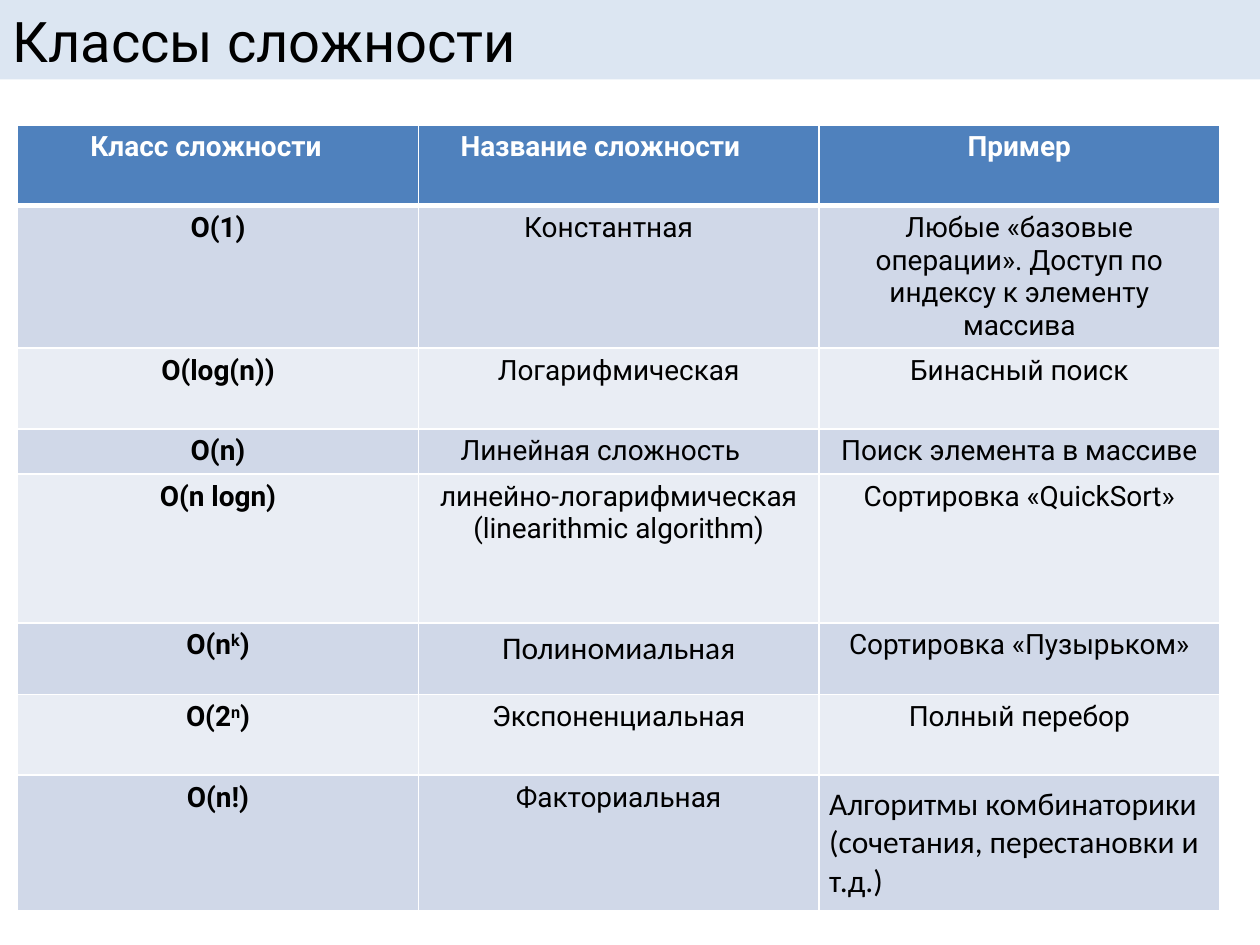
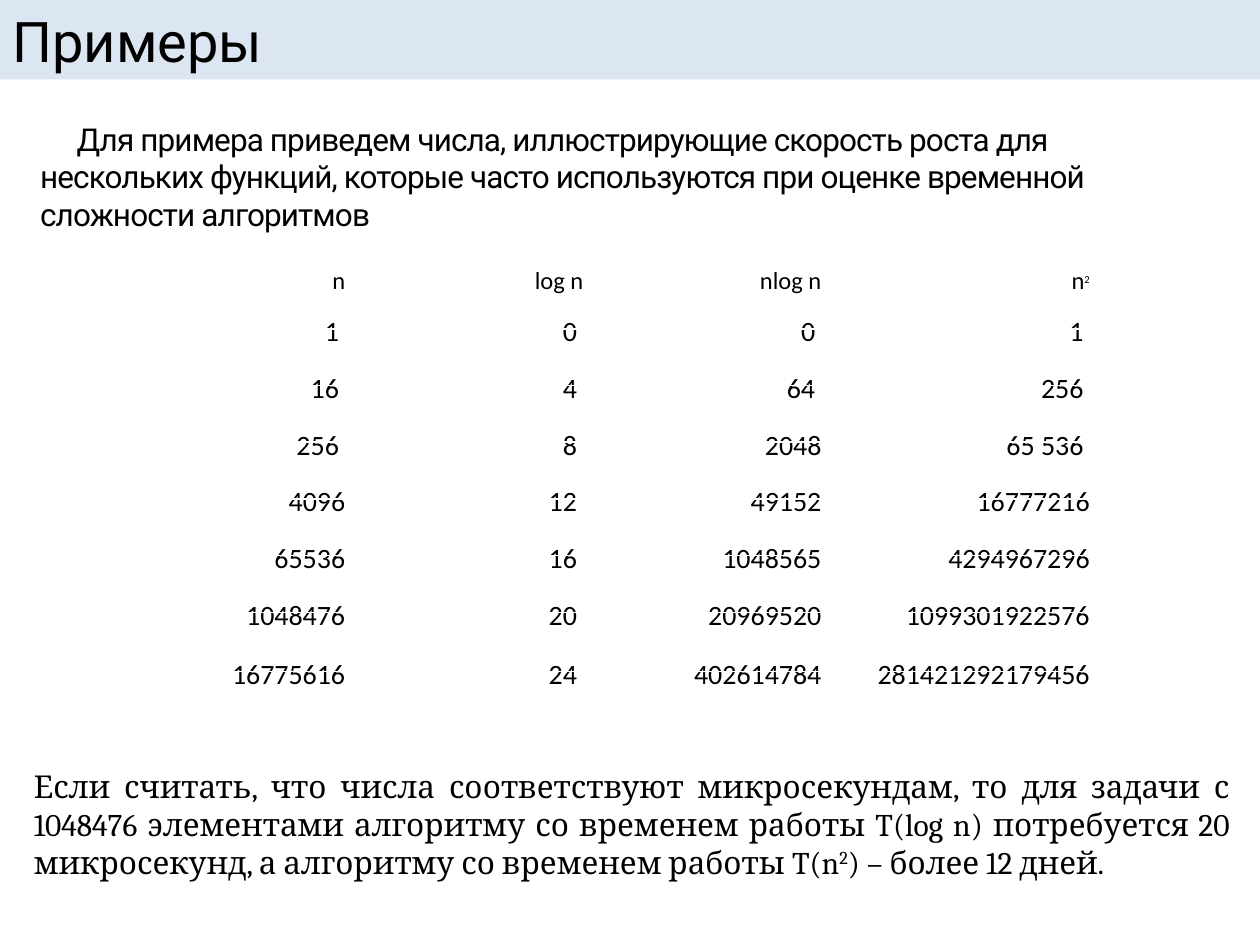
"""Build two slides on algorithm complexity classes and growth rates."""
import pptx
import pptx.dml.color
import pptx.enum.text
import pptx.oxml
import pptx.oxml.ns
import pptx.util
from pptx.util import Inches, Pt

BLACK, WHITE, BAND, HEADER = "000000", "FFFFFF", "DCE6F2", "4F81BD"
STRIPES = ("D0D8E8", "E9EDF4")
ALIGN = pptx.enum.text.PP_ALIGN

CLASSES = [
    ("Класс сложности", "Название сложности", "Пример"),
    ("O(1)", "Константная", "Любые «базовые операции». Доступ по индексу к элементу массива"),
    ("O(log(n))", "Логарифмическая", "Бинасный поиск"),
    ("O(n)", "Линейная сложность", "Поиск элемента в массиве"),
    ("O(n logn)", "линейно-логарифмическая (linearithmic algorithm)", "Сортировка «QuickSort»"),
    ("O(n^k^)", "Полиномиальная", "Сортировка «Пузырьком»"),
    ("O(2^n^)", "Экспоненциальная", "Полный перебор"),
    ("O(n!)", "Факториальная",
     "Алгоритмы комбинаторики (сочетания, перестановки и т.д.)"),
]
CLASS_COLS = [3.18] * 3
CLASS_ROWS = [0.64, 0.91, 0.64, 0.36, 1.18, 0.57, 0.64, 1.02]
CALIBRI_CELLS = {(5, 1), (7, 2)}
RIGHT_MARGINS = {(0, 0): 0.29, (0, 1): 0.39, (1, 1): 0.26, (3, 1): 0.39}

GROWTH = [
    ("n", "log n", "nlog n", "n^2^"),
    ("1", "0", "0", "1"),
    ("16", "4", "64", "256"),
    ("256", "8", "2048", "65 536"),
    ("4096", "12", "49152", "16777216"),
    ("65536", "16", "1048565", "4294967296"),
    ("1048476", "20", "20969520", "1099301922576"),
    ("16775616", "24", "402614784", "281421292179456"),
]
GROWTH_COLS = [1.88, 1.89, 1.89, 2.13]
GROWTH_ROWS = [0.5] + [0.45] * 5 + [0.47, 0.44]

INTRO = [
    "Для примера приведем числа, иллюстрирующие скорость роста для",
    "нескольких функций, которые часто используются при оценке временной сложности алгоритмов",
]
CONCLUSION = (
    "Если считать, что числа соответствуют микросекундам, то для задачи с 1048476 элементами "
    "алгоритму со временем работы T(log n) потребуется 20 микросекунд, а алгоритму со временем "
    "работы T(n^2^) – более 12 дней."
)


def rgb(color):
    return pptx.dml.color.RGBColor.from_string(color)


def write(p, text, size, font, color=BLACK, bold=False, align=ALIGN.LEFT, sup_size=None):
    """Fill a paragraph; text between carets is superscript."""
    p.alignment = align
    for i, part in enumerate(text.split("^")):
        r = p.add_run()
        r.text = part
        r.font.size = Pt(size)
        r.font.name = font
        r.font.bold = bold
        r.font.color.rgb = rgb(color)
        if i % 2:
            r.font.size = Pt(sup_size or size)
            r._r.get_or_add_rPr().set("baseline", "30000")


def set_margins(target, left, top, right, bottom):
    target.margin_left, target.margin_top = Inches(left), Inches(top)
    target.margin_right, target.margin_bottom = Inches(right), Inches(bottom)


def add_slide(prs, title):
    slide = prs.slides.add_slide(prs.slide_layouts[6])
    sp = slide.shapes.add_shape(pptx.enum.shapes.MSO_SHAPE.RECTANGLE, 0, 0, prs.slide_width, Inches(0.63))
    sp.shadow.inherit = False
    sp.fill.solid()
    sp.fill.fore_color.rgb = rgb(BAND)
    sp.line.fill.background()
    sp.text_frame.vertical_anchor = pptx.enum.text.MSO_ANCHOR.MIDDLE
    write(sp.text_frame.paragraphs[0], title, 32, "Roboto")
    return slide


def add_grid(slide, left, top, cols, rows):
    table = slide.shapes.add_table(len(rows), len(cols), Inches(left), Inches(top),
                                   Inches(sum(cols)), Inches(sum(rows))).table
    table.first_row = table.horz_banding = False
    for column, width in zip(table.columns, cols):
        column.width = Inches(width)
    for row, height in zip(table.rows, rows):
        row.height = Inches(height)
    return table


def add_borders(cell, widths):
    tcPr = cell._tc.get_or_add_tcPr()
    for i, (side, width) in enumerate(zip("LRTB", widths)):
        tcPr.insert(i, pptx.oxml.parse_xml(
            f'<a:ln{side} {pptx.oxml.ns.nsdecls("a")} w="{Pt(width)}"><a:solidFill>'
            f'<a:srgbClr val="{WHITE}"/></a:solidFill></a:ln{side}>'))


def add_text_box(slide, left, top, width, height):
    tf = slide.shapes.add_textbox(Inches(left), Inches(top), Inches(width), Inches(height)).text_frame
    tf.word_wrap = True
    return tf


def build_classes(prs):
    slide = add_slide(prs, "Классы сложности")
    table = add_grid(slide, 0.14, 0.99, CLASS_COLS, CLASS_ROWS)
    for i, row in enumerate(CLASSES):
        for j, text in enumerate(row):
            cell = table.cell(i, j)
            cell.fill.solid()
            cell.fill.fore_color.rgb = rgb(STRIPES[(i - 1) % 2] if i else HEADER)
            add_borders(cell, (1, 1, 3 if i == 1 else 1, 1 if i else 3))
            set_margins(cell, 0.1, 0.05, RIGHT_MARGINS.get((i, j), 0.1), 0.05)
            size, font = (18, "Calibri") if (i, j) in CALIBRI_CELLS else (16, "Roboto")
            align = ALIGN.CENTER
            if (i, j) == (7, 2):
                align = ALIGN.LEFT
                set_margins(cell, 0.08, 0.08, 0.08, 0.08)
            write(cell.text_frame.paragraphs[0], text, size, font,
                  BLACK if i else WHITE, i == 0 or j == 0, align)


def build_examples(prs):
    slide = add_slide(prs, "Примеры")
    table = add_grid(slide, 0.86, 2.11, GROWTH_COLS, GROWTH_ROWS)
    for i, row in enumerate(GROWTH):
        for j, text in enumerate(row):
            cell = table.cell(i, j)
            cell.fill.background()
            padded = i > 0 and (len(text) < 4 or " " in text)
            set_margins(cell, 0, 0, 0.05 if padded else 0, 0)
            p = cell.text_frame.paragraphs[0]
            write(p, text, 16 if i else 14, "Calibri", align=ALIGN.RIGHT, sup_size=10.5)
            if i:
                p.line_spacing = Pt(11.7)
            else:
                p.space_before = Pt(0.6)

    tf = add_text_box(slide, 0.22, 0.9, 9.42, 1.31)
    for i, text in enumerate(INTRO):
        p = tf.add_paragraph() if i else tf.paragraphs[0]
        write(p, text, 18, "Roboto")
        p.runs[0]._r.get_or_add_rPr().set("spc", "-50")
    tf.paragraphs[0]._p.get_or_add_pPr().set("indent", str(Inches(0.29)))

    tf = add_text_box(slide, 0.17, 6.04, 9.69, 1.01)
    write(tf.paragraphs[0], CONCLUSION, 18, "Cambria", align=ALIGN.JUSTIFY)


def main():
    prs = pptx.Presentation()
    prs.slide_width, prs.slide_height = Inches(10), Inches(7.5)
    build_classes(prs)
    build_examples(prs)
    prs.save("out.pptx")


if __name__ == "__main__":
    main()
